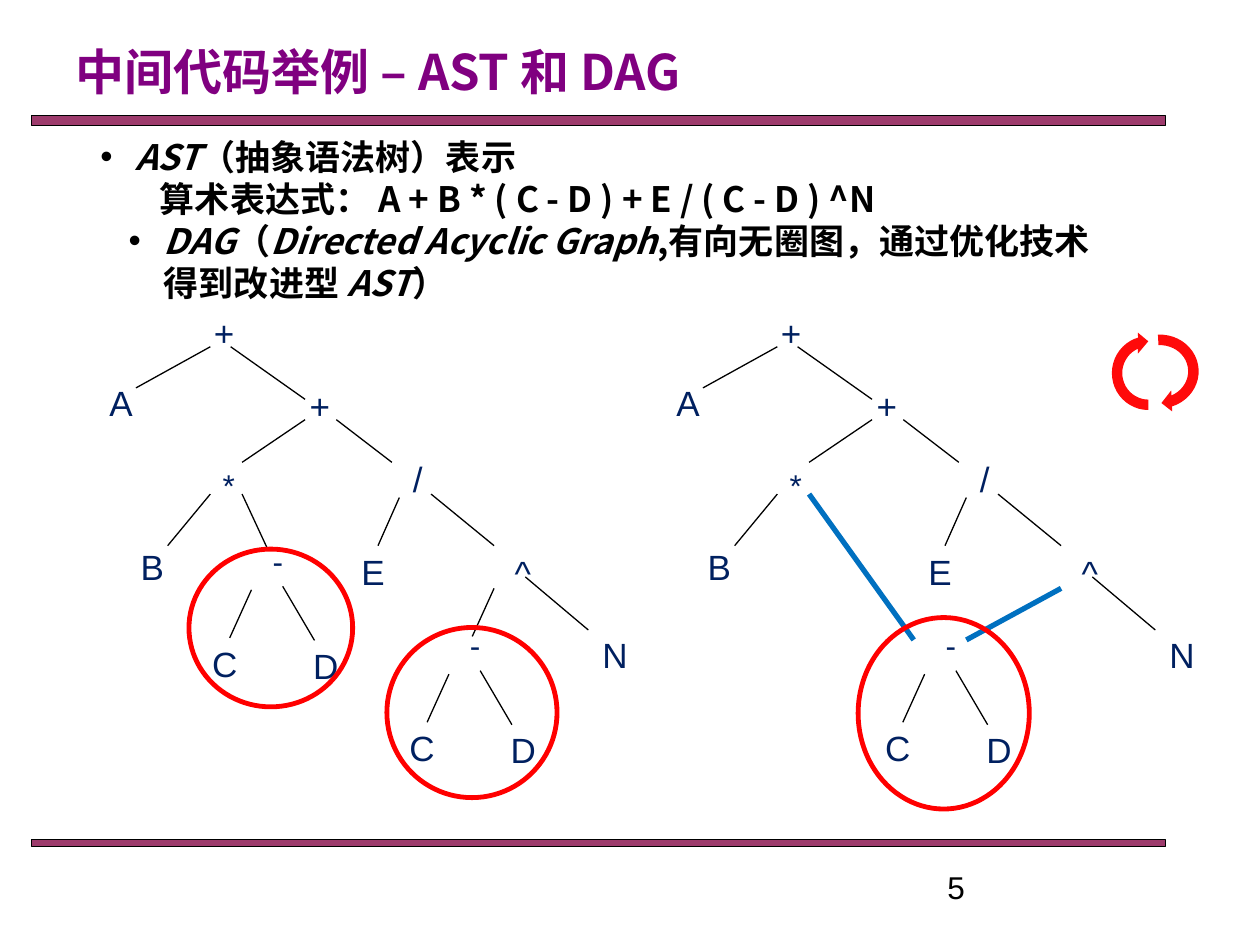
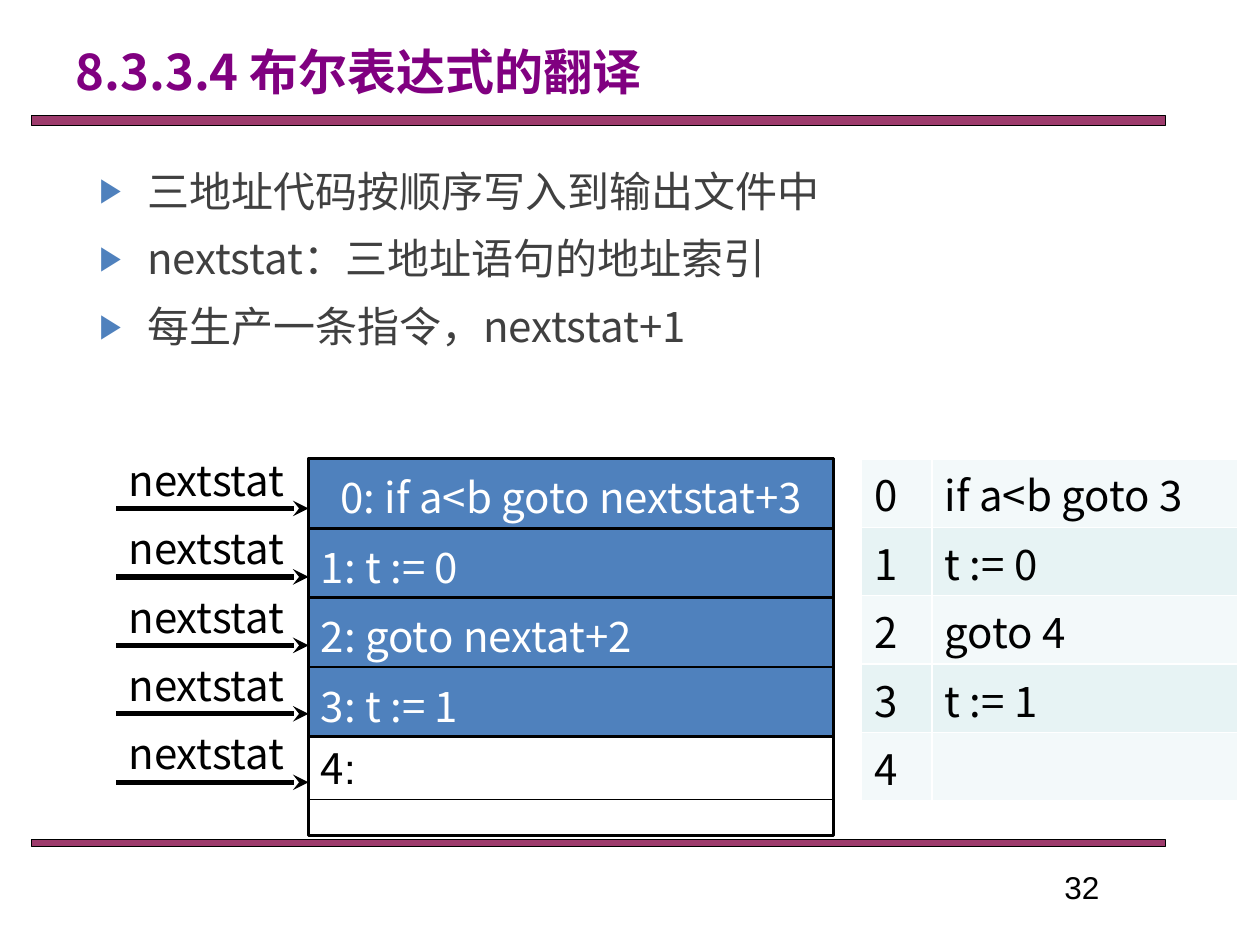
from dataclasses import dataclass

from lxml import etree
from pptx import Presentation
from pptx.dml.color import RGBColor
from pptx.enum.shapes import MSO_CONNECTOR, MSO_SHAPE
from pptx.enum.text import MSO_ANCHOR, MSO_AUTO_SIZE, PP_ALIGN
from pptx.oxml.ns import qn
from pptx.util import Cm, Pt

LEFT, CENTER = PP_ALIGN.LEFT, PP_ALIGN.CENTER
TOP, MIDDLE = MSO_ANCHOR.TOP, MSO_ANCHOR.MIDDLE
NO_AUTOFIT = MSO_AUTO_SIZE.NONE
RECT, OVAL, ARC_ARROW = MSO_SHAPE.RECTANGLE, MSO_SHAPE.OVAL, MSO_SHAPE.CIRCULAR_ARROW
STRAIGHT = MSO_CONNECTOR.STRAIGHT


@dataclass(frozen=True)
class Theme:
    cjk: str = "Noto Sans CJK SC"
    latin: str = "Arial"
    title: RGBColor = RGBColor(0x80, 0x00, 0x80)
    band: RGBColor = RGBColor(0x99, 0x33, 0x66)
    black: RGBColor = RGBColor(0, 0, 0)
    white: RGBColor = RGBColor(0xFF, 0xFF, 0xFF)
    grey: RGBColor = RGBColor(0x40, 0x40, 0x40)
    node: RGBColor = RGBColor(0x00, 0x20, 0x60)
    red: RGBColor = RGBColor(0xFF, 0, 0)
    shared_edge: RGBColor = RGBColor(0x00, 0x70, 0xC0)
    code: RGBColor = RGBColor(0x4F, 0x81, 0xBD)
    row_light: RGBColor = RGBColor(0xF3, 0xF9, 0xFA)
    row_dark: RGBColor = RGBColor(0xE7, 0xF3, 0xF4)
    title_size: int = 28
    text_size: int = 24
    list_size: int = 20
    node_size: int = 20
    small_size: int = 18
    leading: float = 1.2


T = Theme()


def write(sp, text, size=T.text_size, color=T.black, font=T.cjk, bold=False,
          italic=False, align=LEFT, new=False):
    tf = sp.text_frame
    p = tf.add_paragraph() if new else tf.paragraphs[-1]
    p.alignment = align
    p.space_before = Pt(0)
    if font == T.cjk:
        p.line_spacing = Pt(size * T.leading)
    r = p.add_run()
    r.text = text
    r.font.size = Pt(size)
    r.font.name = font
    r.font.bold = bold
    r.font.italic = italic
    r.font.color.rgb = color
    etree.SubElement(r.font._element, qn("a:ea"), typeface=font)
    return p


def connect(s, x1, y1, x2, y2, color=T.black, width=0.75, arrow=False):
    c = s.shapes.add_connector(STRAIGHT, Cm(x1), Cm(y1), Cm(x2), Cm(y2))
    c.line.color.rgb = color
    c.line.width = Pt(width)
    if arrow:
        etree.SubElement(c.element.spPr.find(qn("a:ln")), qn("a:tailEnd"), type="stealth")
    etree.SubElement(c.element.spPr, qn("a:effectLst"))


prs = Presentation()
prs.slide_width, prs.slide_height = Cm(25.4), Cm(19.05)
translucent = []

for title, number, number_align, body_box in [
    ("中间代码举例 – AST 和 DAG", "5", LEFT, (1.07, 2.6, 21.8, 3.68)),
    ("8.3.3.4 布尔表达式的翻译", "32", CENTER, (1.75, 3.2, 21.92, 12.09)),
]:
    s = prs.slides.add_slide(prs.slide_layouts[1])
    for sp, box in [(s.shapes.title, (1.27, 0.72, 23.06, 1.45)), (s.placeholders[1], body_box)]:
        sp.left, sp.top, sp.width, sp.height = map(Cm, box)
        sp.text_frame.auto_size = NO_AUTOFIT
        sp.text_frame.vertical_anchor = TOP
    write(s.shapes.title, title, size=T.title_size, color=T.title, bold=True)
    for top, height in [(2.33, 0.2), (16.93, 0.13)]:
        sp = s.shapes.add_shape(RECT, Cm(0.63), Cm(top), Cm(22.86), Cm(height))
        sp.shadow.inherit = False
        sp.fill.solid()
        sp.fill.fore_color.rgb = T.band
        sp.line.color.rgb = T.black
        sp.line.width = Pt(0.75)
        translucent.append(sp)
    sp = s.shapes.add_textbox(Cm(18.85), Cm(17.38), Cm(5.92), Cm(0.7))
    sp.text_frame.word_wrap = True
    write(sp, number, size=T.small_size, font=T.latin, align=number_align)

tree_slide, code_slide = prs.slides

s = tree_slide
body = s.placeholders[1]
bullets = [
    (1.4, -0.7, [("AST", True), ("（抽象语法树）表示", False)]),
    (1.9, 0, [("算术表达式： A + B * ( C - D ) + E / ( C - D ) ^N", False)]),
    (1.98, -0.71, [("DAG", True), ("（", False), ("Directed Acyclic Graph", True),
                   (",有向无圈图，通过优化技术得到改进型 ", False), ("AST", True), ("）", False)]),
]
for i, (margin, indent, runs) in enumerate(bullets):
    for j, (text, italic) in enumerate(runs):
        p = write(body, text, size=T.list_size, bold=True, italic=italic, new=i > 0 and j == 0)
    pPr = p._p.get_or_add_pPr()
    pPr.set("marL", str(Cm(margin)))
    pPr.set("indent", str(Cm(indent)))
    if not indent:
        etree.SubElement(pPr, qn("a:buNone"))

tree_nodes = [
    ("+", 4.52, 6.15), ("A", 2.44, 7.57), ("+", 6.45, 7.62), ("*", 4.61, 9.27), ("/", 8.42, 9.09),
    ("B", 3.07, 10.87), ("E", 7.52, 10.97), ("^", 10.54, 11), ("N", 12.4, 12.65),
]
tree_edges = [
    (2.74, 7.82, 4.24, 6.99), (4.65, 6.99, 6.15, 8.05), (6.15, 8.46, 4.88, 9.32),
    (6.78, 8.46, 7.9, 9.32), (8.69, 9.96, 9.96, 11), (8.05, 10.03, 7.62, 11),
    (4.24, 9.96, 3.38, 11), (10.59, 11.63, 11.86, 12.7),
]
minus_nodes = [("-", 0, 0), ("C", -1.07, 2.03), ("D", 0.97, 2.06)]
minus_edges = [(0.1, 1.02, 0.74, 2.11), (-0.53, 1.09, -0.97, 2.06)]

parts = [(dx, 0, tree_nodes, tree_edges) for dx in (0, 11.43)]
parts += [(x, y, minus_nodes, minus_edges) for x, y in [(5.6, 10.8), (9.58, 12.5), (19.17, 12.5)]]
for dx, dy, nodes, edges in parts:
    for text, x, y in nodes:
        sp = s.shapes.add_textbox(Cm(dx + x - 0.55), Cm(dy + y), Cm(1.1), Cm(1.09))
        sp.text_frame.word_wrap = True
        size = T.small_size if text in "*-" else T.node_size
        write(sp, text, size=size, color=T.node, font=T.latin, align=CENTER)
    for x1, y1, x2, y2 in edges:
        connect(s, dx + x1, dy + y1, dx + x2, dy + y2)

for edge in [(4.88, 9.96, 5.41, 11.1), (9.96, 11.86, 9.52, 12.83)]:
    connect(s, *edge)
for edge in [(16.31, 9.96, 18.42, 12.9), (21.39, 11.86, 19.48, 12.9)]:
    connect(s, *edge, color=T.shared_edge, width=3)

for box in [(3.81, 11.07, 3.3, 3.18), (7.8, 12.65, 3.43, 3.43), (17.3, 12.45, 3.45, 3.86)]:
    sp = s.shapes.add_shape(OVAL, *map(Cm, box))
    sp.shadow.inherit = False
    sp.fill.background()
    sp.line.color.rgb = T.red
    sp.line.width = Pt(2.75)

for box, angle in [((22.53, 6.6, 1.7, 1.78), 87.1), ((22.3, 6.68, 1.7, 1.68), 270)]:
    sp = s.shapes.add_shape(ARC_ARROW, *map(Cm, box))
    sp.shadow.inherit = False
    sp.rotation = angle
    sp.fill.solid()
    sp.fill.fore_color.rgb = T.red
    sp.line.fill.background()
    translucent.append(sp)

s = code_slide
body = s.placeholders[1]
lines = ["三地址代码按顺序写入到输出文件中", "nextstat：三地址语句的地址索引", "每生产一条指令，nextstat+1"]
for i, text in enumerate(lines):
    p = write(body, text, color=T.grey, new=i > 0)
    p.space_before = Pt(10 if i else 0)
    pPr = p._p.get_or_add_pPr()
    pPr.set("marL", str(Cm(0.96)))
    pPr.set("indent", str(Cm(-0.96)))
    etree.SubElement(etree.SubElement(pPr, qn("a:buClr")), qn("a:srgbClr"), val=str(T.code))
    etree.SubElement(pPr, qn("a:buSzPct"), val="80000")
    etree.SubElement(pPr, qn("a:buFont"), typeface=T.latin)
    etree.SubElement(pPr, qn("a:buChar"), char="▶")

code_left, code_top, code_width, code_height = 6.22, 9.25, 10.59, 1.4
code = ["0: if a<b goto nextstat+3", "1: t := 0", "2: goto nextat+2", "3: t := 1"]
for i, text in enumerate(code):
    sp = s.shapes.add_shape(RECT, Cm(code_left), Cm(code_top + i * code_height),
                            Cm(code_width), Cm(code_height))
    sp.shadow.inherit = False
    sp.fill.solid()
    sp.fill.fore_color.rgb = T.code
    sp.line.color.rgb = T.black
    sp.line.width = Pt(1.5)
    sp.text_frame.word_wrap = False
    sp.text_frame.vertical_anchor = MIDDLE
    sp.text_frame.margin_top = Cm(0.27)
    write(sp, text, color=T.white, align=LEFT if i else CENTER)

for top, height, width in [(code_top, 7.59, 1.5), (code_top + 4 * code_height, 1.27, 0.75)]:
    sp = s.shapes.add_shape(RECT, Cm(code_left), Cm(top), Cm(code_width), Cm(height))
    sp.shadow.inherit = False
    sp.fill.background()
    sp.line.color.rgb = T.black
    sp.line.width = Pt(width)
sp.text_frame.vertical_anchor = TOP
write(sp, "4")
write(sp, ":", font=T.latin)

for i in range(5):
    y = 10.25 + i * 1.38
    connect(s, 2.34, y, code_left, y, width=3, arrow=True)
    sp = s.shapes.add_textbox(Cm(2.34), Cm(y - 1.22), Cm(3.78), Cm(1.27))
    sp.text_frame.word_wrap = False
    write(sp, "nextstat")

statements = ["if a<b goto 3", "t := 0", "goto 4", "t := 1", ""]
table = s.shapes.add_table(5, 2, Cm(17.37), Cm(code_top), Cm(7.59), Cm(6.9)).table
table.columns[0].width, table.columns[1].width = Cm(1.42), Cm(6.17)
for i, statement in enumerate(statements):
    table.rows[i].height = Cm(1.38)
    for j, text in enumerate([str(i), statement]):
        cell = table.cell(i, j)
        cell.fill.solid()
        cell.fill.fore_color.rgb = T.row_dark if i % 2 else T.row_light
        cell.margin_top, cell.margin_bottom = Cm(0.3), Cm(0)
        if text:
            write(cell, text)

for sp in translucent:
    color = sp.element.spPr.find(qn("a:solidFill")).find(qn("a:srgbClr"))
    etree.SubElement(color, qn("a:alpha"), val="96000")

prs.save("out.pptx")
